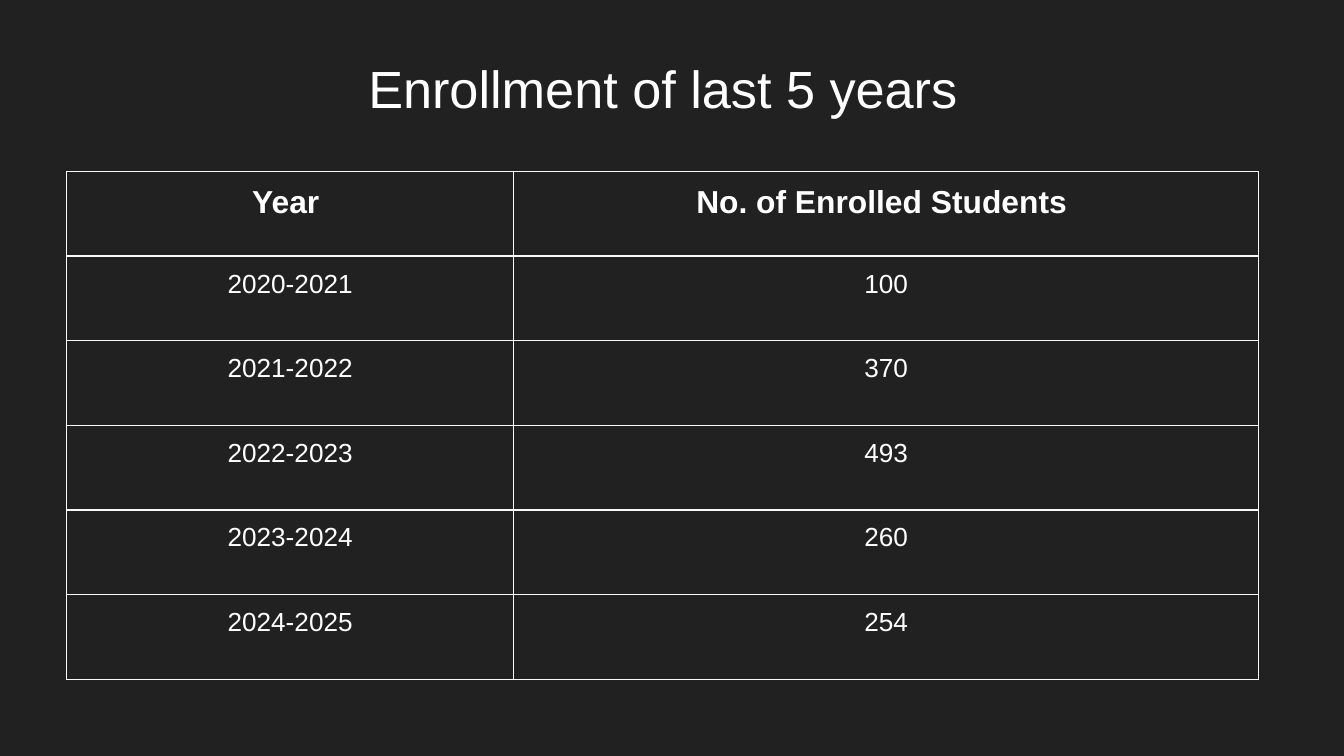
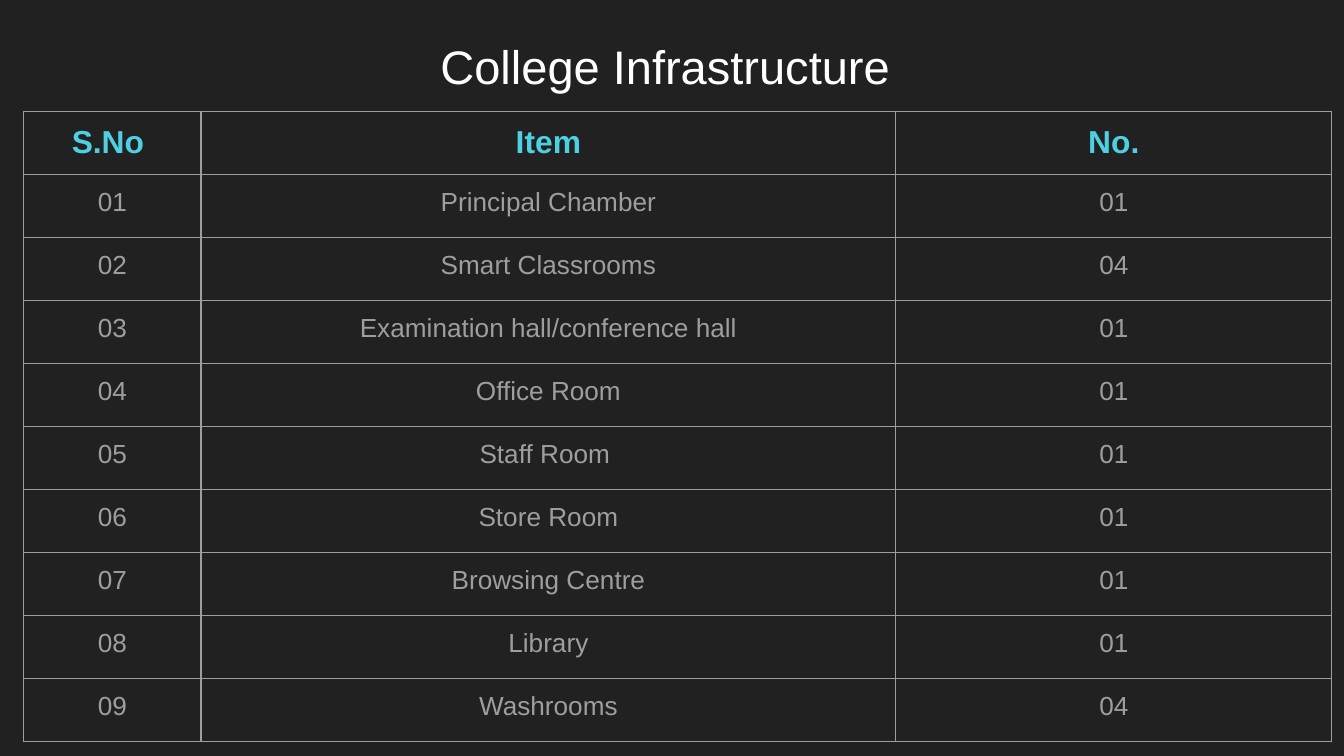
from lxml.etree import SubElement
from pptx import Presentation
from pptx.dml.color import RGBColor
from pptx.enum.text import MSO_ANCHOR as Anchor, PP_ALIGN as Align
from pptx.oxml.ns import qn
from pptx.util import Cm, Pt

COLORS = {
    "page": "212121",
    "white": "FFFFFF",
    "pale": "F9F9F9",
    "gray": "9E9E9E",
    "cyan": "4DD0E1",
}
FONT = "Arial"
INSET = Cm(0.25)
TITLE_ONLY = 5

ENROLLMENT = [
    ("Year ", "No. of Enrolled Students "),
    ("2020-2021", "100"),
    ("2021-2022", "370"),
    ("2022-2023", "493"),
    ("2023-2024", "260"),
    ("2024-2025", "254"),
]
ROOMS = [
    ("Principal Chamber", "01"),
    ("Smart Classrooms", "04"),
    ("Examination hall/conference hall", "01"),
    ("Office Room", "01"),
    ("Staff Room ", "01"),
    ("Store Room", "01"),
    ("Browsing Centre", "01"),
    ("Library", "01"),
    ("Washrooms", "04"),
]
INFRASTRUCTURE = [("S.No ", "Item", "No.")] + [
    (f"{number:02}", *room) for number, room in enumerate(ROOMS, 1)
]


def color(name):
    return RGBColor.from_string(COLORS[name])


def write(frame, text, size=14, ink="white", bold=False, spacing=None):
    para = frame.paragraphs[0]
    para.alignment = Align.CENTER
    para.line_spacing = spacing
    span = para.add_run()
    span.text = text
    span.font.name = FONT
    span.font.size = Pt(size)
    span.font.bold = bold
    span.font.color.rgb = color(ink)


def add_page(deck, title, box, size):
    """Add a page with its centred title in box (left, top, width, height)."""
    page = deck.slides.add_slide(deck.slide_layouts[TITLE_ONLY])
    holder = page.shapes.title
    holder.left, holder.top, holder.width, holder.height = map(Cm, box)
    frame = holder.text_frame
    frame.word_wrap = True
    frame.vertical_anchor = Anchor.TOP
    frame.margin_left = frame.margin_right = INSET
    frame.margin_top = frame.margin_bottom = INSET
    write(frame, title, size=size, spacing=1.1)
    return page


def draw_borders(cell, line):
    properties = cell._tc.get_or_add_tcPr()
    for position, side in enumerate(("a:lnL", "a:lnR", "a:lnT", "a:lnB")):
        border = SubElement(properties, qn(side), w=str(Pt(0.75)))
        fill = SubElement(border, qn("a:solidFill"))
        SubElement(fill, qn("a:srgbClr"), val=COLORS[line])
        # Borders come before the cell fill
        properties.insert(position, border)


def add_grid(page, rows, corner, widths, row_height, line, head_ink, body_ink,
             fill=None):
    """Place a ruled table with its top left at corner."""
    left, top = corner
    table = page.shapes.add_table(
        len(rows), len(widths), Cm(left), Cm(top),
        Cm(sum(widths)), Cm(row_height * len(rows))).table
    table.first_row = table.horz_banding = False
    for column, width in zip(table.columns, widths):
        column.width = Cm(width)

    for row_index, values in enumerate(rows):
        table.rows[row_index].height = Cm(row_height)
        is_head = row_index == 0
        for column_index, value in enumerate(values):
            cell = table.cell(row_index, column_index)
            cell.margin_left = cell.margin_right = INSET
            cell.margin_top = cell.margin_bottom = INSET
            if fill:
                cell.fill.solid()
                cell.fill.fore_color.rgb = color(fill)
            else:
                cell.fill.background()
            draw_borders(cell, line)
            write(cell.text_frame, value, size=17 if is_head else 14,
                  ink=head_ink if is_head else body_ink, bold=is_head)


def build_enrollment(deck):
    page = add_page(deck, "Enrollment of last 5 years",
                    (0.69, 0.69, 23.67, 2.1), 28)
    add_grid(page, ENROLLMENT, (1.26, 3.24), (8.45, 14.08), 1.6,
             line="pale", head_ink="white", body_ink="white", fill="page")


def build_infrastructure(deck):
    page = add_page(deck, "College Infrastructure ",
                    (0.86, 0.36, 23.67, 1.6), 25.2)
    add_grid(page, INFRASTRUCTURE, (0.45, 2.11), (3.35, 13.13, 8.24), 1.19,
             line="gray", head_ink="cyan", body_ink="gray")


def main():
    deck = Presentation()
    deck.slide_width, deck.slide_height = Cm(25.4), Cm(14.29)
    # Shared dark background
    backdrop = deck.slide_master.background.fill
    backdrop.solid()
    backdrop.fore_color.rgb = color("page")

    build_enrollment(deck)
    build_infrastructure(deck)
    deck.save("out.pptx")


if __name__ == "__main__":
    main()
